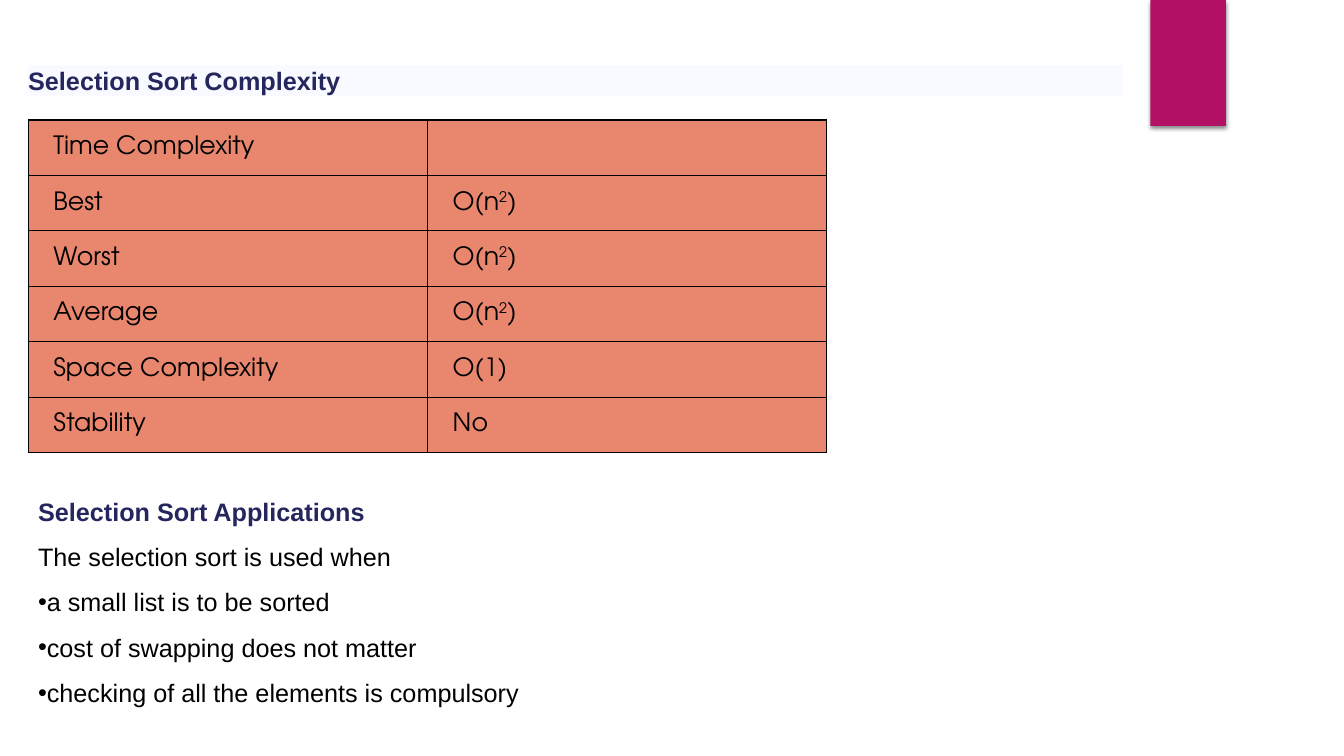
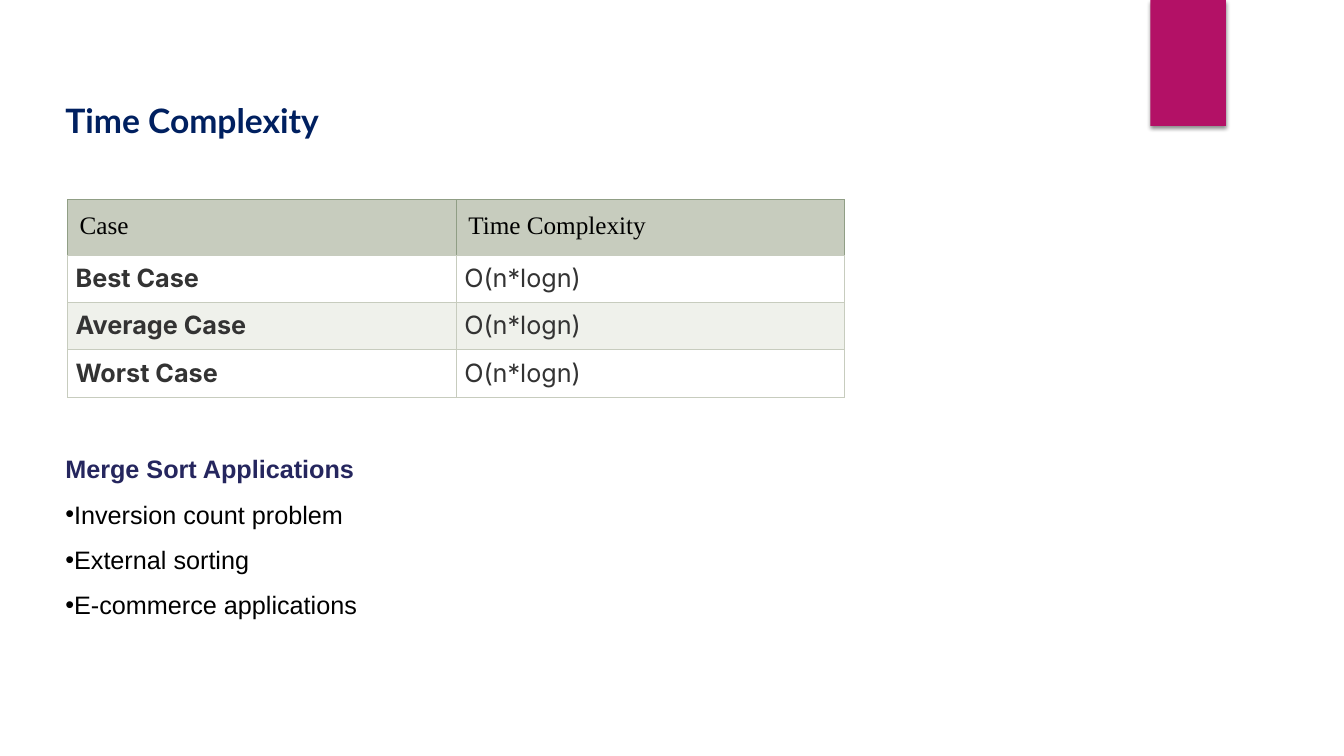
from lxml import etree
from pptx import Presentation
from pptx.dml.color import RGBColor
from pptx.enum.shapes import MSO_SHAPE
from pptx.enum.text import MSO_ANCHOR, PP_ALIGN
from pptx.oxml.ns import qn
from pptx.util import Inches, Pt

RECTANGLE = MSO_SHAPE.RECTANGLE
TOP, MIDDLE = MSO_ANCHOR.TOP, MSO_ANCHOR.MIDDLE
LEFT, JUSTIFY = PP_ALIGN.LEFT, PP_ALIGN.JUSTIFY

COLORS = {
    "band": "B31166",
    "heading": "25265E",
    "heading_fill": "F8FAFF",
    "title": "002060",
    "text": "000000",
    "body": "333333",
    "coral": "E9866E",
    "sage": "C7CCBE",
    "sage_dark": "909E85",
    "sage_light": "EFF1EB",
    "white": "FFFFFF",
}
EDGES = ("L", "R", "T", "B")


def rgb(name):
    return RGBColor.from_string(COLORS[name])


def add_text(paragraph, text, font="Arial", size=18, color="text", bold=False,
             align=LEFT, spacing=None, bullet=False):
    paragraph.alignment = align
    if spacing:
        paragraph.line_spacing = spacing
    if bullet:
        properties = paragraph._p.get_or_add_pPr()
        etree.SubElement(properties, qn("a:buFont"), typeface="Arial")
        etree.SubElement(properties, qn("a:buChar"), char="•")
    for index, part in enumerate(text.split("^")):
        if not part:
            continue
        run = paragraph.add_run()
        run.text = part
        run.font.name = font
        run.font.size = Pt(size)
        run.font.bold = bold
        run.font.color.rgb = rgb(color)
        if index % 2:
            run._r.get_or_add_rPr().set("baseline", "30000")


def add_rectangle(slide, box, fill):
    shape = slide.shapes.add_shape(RECTANGLE, *map(Inches, box))
    shape.shadow.inherit = False
    shape.fill.solid()
    shape.fill.fore_color.rgb = rgb(fill)
    shape.line.fill.background()
    return shape


def add_band(slide):
    band = add_rectangle(slide, (11.41, 0, 0.75, 1.25), "band")
    effects = band._element.spPr.find(qn("a:effectLst"))
    shadow = etree.SubElement(effects, qn("a:outerShdw"), blurRad=str(Pt(3)),
                              dist=str(Pt(2)), dir="5400000", rotWithShape="0")
    color = etree.SubElement(shadow, qn("a:srgbClr"), val=COLORS["text"])
    etree.SubElement(color, qn("a:alpha"), val="45000")


def add_heading(slide, box, text, fill, insets=(0.1, 0.05), **text_format):
    frame = add_rectangle(slide, box, fill).text_frame
    frame.word_wrap = True
    frame.vertical_anchor = MIDDLE
    frame.margin_left = frame.margin_right = Inches(insets[0])
    frame.margin_top = frame.margin_bottom = Inches(insets[1])
    add_text(frame.paragraphs[0], text, bold=True, **text_format)


def add_applications(slide, box, heading, bullets, intro=None):
    frame = slide.shapes.add_textbox(*map(Inches, box)).text_frame
    frame.word_wrap = True
    add_text(frame.paragraphs[0], heading, color="heading", bold=True, spacing=1.5)
    if intro:
        add_text(frame.add_paragraph(), intro, spacing=1.5)
    for bullet in bullets:
        add_text(frame.add_paragraph(), bullet, spacing=1.5, bullet=True)


def set_borders(cell, colors, width):
    properties = cell._tc.get_or_add_tcPr()
    for edge, color in zip(EDGES, colors):
        line = etree.SubElement(properties, qn(f"a:ln{edge}"), w=str(Pt(width)))
        fill = etree.SubElement(line, qn("a:solidFill"))
        etree.SubElement(fill, qn("a:srgbClr"), val=COLORS[color])


def fill_cell(cell, text, fill, borders, border_width=0.75, insets=(0.08, 0.08),
              anchor=TOP, **text_format):
    set_borders(cell, borders, border_width)
    cell.fill.solid()
    cell.fill.fore_color.rgb = rgb(fill)
    cell.margin_left = cell.margin_right = Inches(insets[0])
    cell.margin_top = cell.margin_bottom = Inches(insets[1])
    cell.vertical_anchor = anchor
    add_text(cell.text_frame.paragraphs[0], text, **text_format)


def add_grid(slide, left, top, width, row_heights, rows, cell_format):
    columns = len(rows[0])
    box = (left, top, width, sum(row_heights))
    table = slide.shapes.add_table(len(rows), columns, *map(Inches, box)).table
    table.first_row = table.horz_banding = False
    for column in table.columns:
        column.width = Inches(width / columns)
    for row_index, (height, texts) in enumerate(zip(row_heights, rows)):
        table.rows[row_index].height = Inches(height)
        for column_index, text in enumerate(texts):
            fill_cell(table.cell(row_index, column_index), text,
                      **cell_format(row_index, column_index))


def coral_format(row, column):
    return dict(fill="coral", borders=["text"] * 4, border_width=1,
                insets=(0.25, 0.12), anchor=MIDDLE, font="TeX Gyre Adventor")


def sage_format(row, column):
    if row == 0:
        return dict(fill="sage", borders=["sage_dark"] * 3 + ["sage"],
                    insets=(0.12, 0.12), font="Times New Roman")
    return dict(fill="white" if row % 2 else "sage_light", borders=["sage"] * 4,
                font="Inter", color="body", bold=column == 0, align=JUSTIFY)


def add_slide(presentation):
    slide = presentation.slides.add_slide(presentation.slide_layouts[6])
    add_band(slide)
    return slide


def build_selection_sort(presentation):
    slide = add_slide(presentation)
    rows = [
        ("Time Complexity", ""),
        ("Best", "O(n^2^)"),
        ("Worst", "O(n^2^)"),
        ("Average", "O(n^2^)"),
        ("Space Complexity", "O(1)"),
        ("Stability", "No"),
    ]
    add_grid(slide, 0.28, 1.19, 7.92, [0.55] * len(rows), rows, coral_format)
    add_heading(slide, (0.28, 0.65, 10.86, 0.3), "Selection Sort Complexity",
                "heading_fill", insets=(0, 0), color="heading")
    add_applications(
        slide, (0.28, 4.72, 6.67, 2.32), "Selection Sort Applications",
        ["a small list is to be sorted", "cost of swapping does not matter",
         "checking of all the elements is compulsory"],
        intro="The selection sort is used when")


def build_merge_sort(presentation):
    slide = add_slide(presentation)
    rows = [("Case", "Time Complexity")]
    rows += [(f"{case} Case", "O(n*logn)") for case in ("Best", "Average", "Worst")]
    add_grid(slide, 0.67, 1.98, 7.71, [0.55] + [0.47] * 3, rows, sage_format)
    add_heading(slide, (0.55, 0.94, 7.1, 0.5), "Time Complexity", "white",
                font="Lato", size=24, color="title")
    add_applications(
        slide, (0.55, 4.3, 6.67, 1.86), "Merge Sort Applications",
        ["Inversion count problem", "External sorting", "E-commerce applications"])


def main():
    presentation = Presentation()
    presentation.slide_width = Inches(13.33)
    presentation.slide_height = Inches(7.5)
    build_selection_sort(presentation)
    build_merge_sort(presentation)
    presentation.save("out.pptx")


if __name__ == "__main__":
    main()
